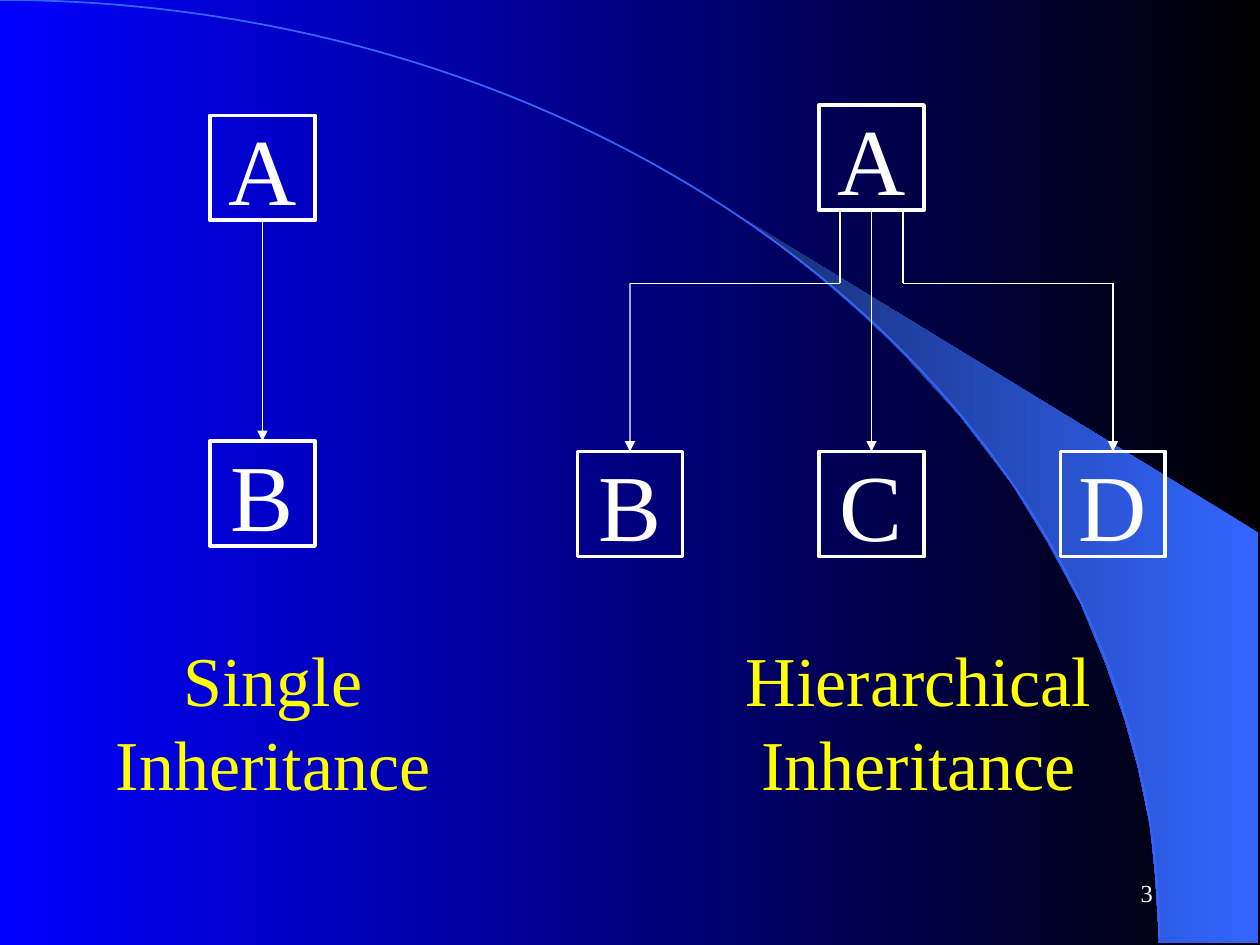
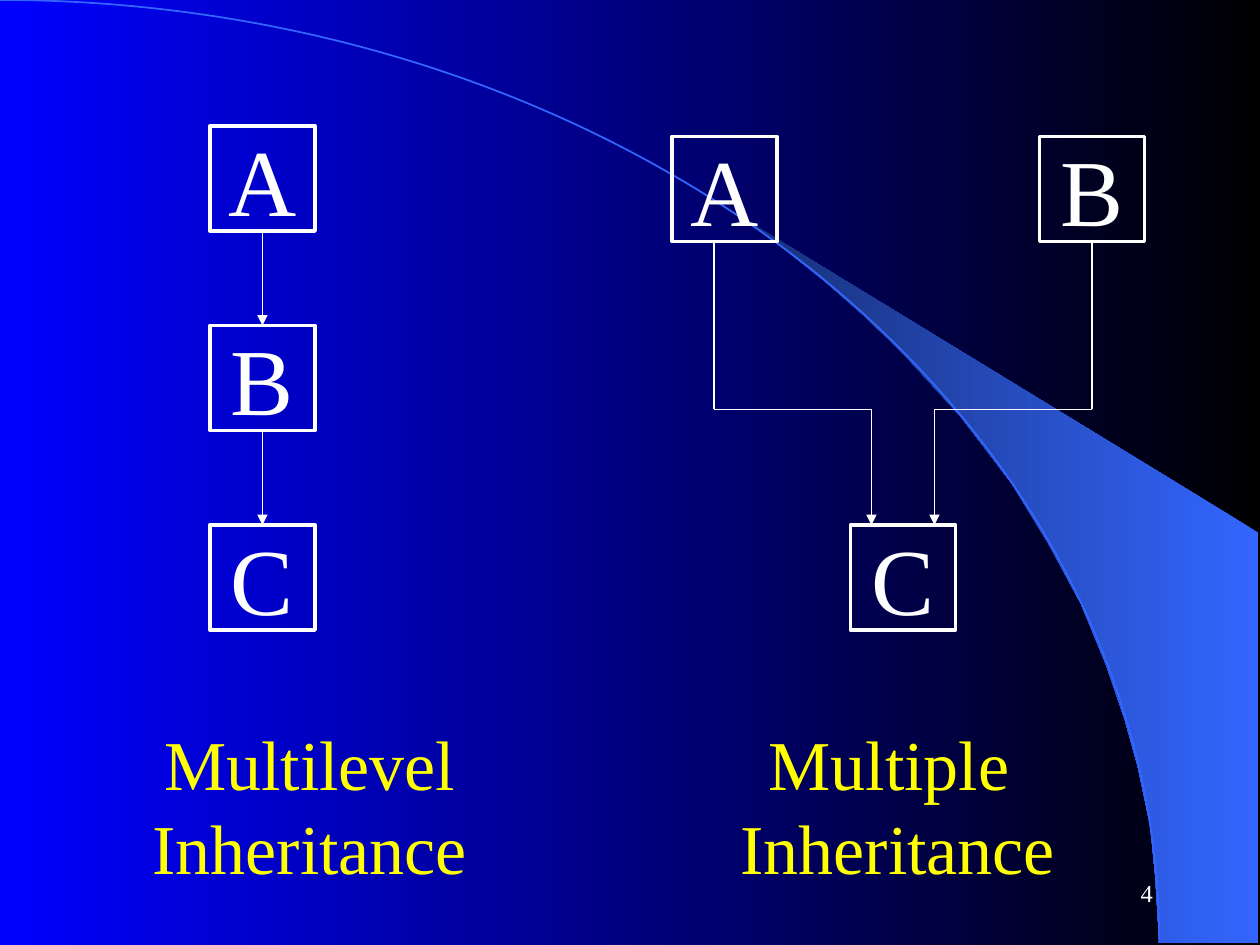
from dataclasses import dataclass
from itertools import pairwise

from lxml import etree
from pptx import Presentation
from pptx.dml.color import RGBColor
from pptx.enum.shapes import MSO_CONNECTOR, MSO_SHAPE
from pptx.enum.text import MSO_ANCHOR, MSO_AUTO_SIZE, PP_ALIGN
from pptx.oxml.ns import qn
from pptx.util import Cm, Length, Pt

RECTANGLE, ARC = MSO_SHAPE.RECTANGLE, MSO_SHAPE.ARC
STRAIGHT = MSO_CONNECTOR.STRAIGHT
CENTER, RIGHT = PP_ALIGN.CENTER, PP_ALIGN.RIGHT
TOP, MIDDLE = MSO_ANCHOR.TOP, MSO_ANCHOR.MIDDLE
FIXED, GROW = MSO_AUTO_SIZE.NONE, MSO_AUTO_SIZE.SHAPE_TO_FIT_TEXT
TOP_SITE, BOTTOM_SITE = 0, 2

COLORS = {
    "black": "000000",
    "blue": "0000FF",
    "sky": "3366FF",
    "navy": "172F75",
    "white": "FFFFFF",
    "yellow": "FFFF00",
}
FONT = "Times New Roman"

# The slide is a grid of 120 x 90 steps; a class box covers 10 x 10 of them
COLUMNS, ROWS = 120, 90
STEP = 25.4 / COLUMNS
BOX_SIZE = 10

# Outline of the wedge, in centimetres
WEDGE = [
    (23.37, 19), (25.37, 19.02), (25.37, 10.74), (14.96, 4.39), (15.85, 5.05),
    (16.59, 5.64), (17.4, 6.35), (18.19, 7.11), (19.35, 8.38), (20.4, 9.75),
    (21.13, 10.95), (21.79, 12.17), (22.3, 13.41), (22.68, 14.53),
    (22.94, 15.47), (23.19, 16.66), (23.29, 17.68),
]
ARC_RADIUS_X, ARC_RADIUS_Y = 23.37, 19.01

Point = tuple[int, int]


@dataclass(frozen=True)
class TextStyle:
    size: int
    color: str
    align: PP_ALIGN
    anchor: MSO_ANCHOR
    wrap: bool = True
    auto_size: MSO_AUTO_SIZE = FIXED


@dataclass(frozen=True)
class ClassBox:
    name: str
    column: int
    row: int


@dataclass(frozen=True)
class Route:
    """A chain of straight lines that ends in an arrowhead."""
    points: tuple[Point, ...]


@dataclass(frozen=True)
class Caption:
    text: str
    column: int
    row: int
    width: int = 39


@dataclass(frozen=True)
class DiagramSlide:
    number: int
    boxes: list[ClassBox]
    routes: list[Route]
    captions: list[Caption]


BOX_STYLE = TextStyle(54, "white", CENTER, MIDDLE, wrap=False)
CAPTION_STYLE = TextStyle(40, "yellow", CENTER, TOP, auto_size=GROW)
NUMBER_STYLE = TextStyle(14, "white", RIGHT, MIDDLE)

SLIDES = [
    DiagramSlide(
        number=3,
        boxes=[
            ClassBox("A", 20, 11), ClassBox("B", 20, 42),
            ClassBox("A", 78, 10), ClassBox("B", 55, 43),
            ClassBox("C", 78, 43), ClassBox("D", 101, 43),
        ],
        routes=[
            Route(((25, 21), (25, 42))),
            Route(((80, 20), (80, 27), (60, 27), (60, 43))),
            Route(((83, 20), (83, 43))),
            Route(((86, 20), (86, 27), (106, 27), (106, 43))),
        ],
        captions=[
            Caption("Single Inheritance", 6, 60, 40),
            Caption("Hierarchical Inheritance", 68, 60),
        ],
    ),
    DiagramSlide(
        number=4,
        boxes=[
            ClassBox("A", 20, 12), ClassBox("B", 20, 31), ClassBox("C", 20, 50),
            ClassBox("A", 64, 13), ClassBox("B", 99, 13), ClassBox("C", 81, 50),
        ],
        routes=[
            Route(((25, 22), (25, 31))),
            Route(((25, 41), (25, 50))),
            Route(((68, 23), (68, 39), (83, 39), (83, 50))),
            Route(((104, 23), (104, 39), (89, 39), (89, 50))),
        ],
        captions=[
            Caption("Multilevel Inheritance", 10, 68),
            Caption("Multiple  Inheritance", 66, 68),
        ],
    ),
]


def rgb(name: str) -> RGBColor:
    return RGBColor.from_string(COLORS[name])


def grid(*steps: int) -> list[Length]:
    return [Cm(step * STEP) for step in steps]


def fill_gradient(fill, right: str, left: str) -> None:
    fill.gradient()
    fill.gradient_angle = 180
    for stop, color, position in zip(fill.gradient_stops, (right, left), (0, 1)):
        stop.color.rgb = rgb(color)
        stop.position = position


def set_line(line, color: str, width: float) -> None:
    line.color.rgb = rgb(color)
    line.width = Pt(width)


def write_text(shape, text: str, style: TextStyle) -> None:
    frame = shape.text_frame
    frame_format = {
        "word_wrap": style.wrap,
        "auto_size": style.auto_size,
        "vertical_anchor": style.anchor,
    }
    for attribute, value in frame_format.items():
        setattr(frame, attribute, value)
    paragraph = frame.paragraphs[0]
    paragraph.alignment = style.align
    run = paragraph.add_run()
    run.text = text
    for attribute, value in {"name": FONT, "size": Pt(style.size)}.items():
        setattr(run.font, attribute, value)
    run.font.color.rgb = rgb(style.color)


def add_text(slide, text: str, area: tuple[int, ...], style: TextStyle) -> None:
    write_text(slide.shapes.add_textbox(*grid(*area)), text, style)


def add_backdrop(slide) -> None:
    # Shaded wedge
    start, *others = [(Cm(x), Cm(y)) for x, y in WEDGE]
    builder = slide.shapes.build_freeform(*start)
    builder.add_line_segments(others, close=True)
    wedge = builder.convert_to_shape()
    wedge.shadow.inherit = False
    fill_gradient(wedge.fill, right="sky", left="navy")
    wedge.line.fill.background()

    # Sweeping curve: the upper right quarter of an ellipse
    curve = slide.shapes.add_shape(
        ARC, Cm(-ARC_RADIUS_X), 0, Cm(2 * ARC_RADIUS_X), Cm(2 * ARC_RADIUS_Y))
    curve.shadow.inherit = False
    curve.fill.background()
    set_line(curve.line, "sky", 1)


def add_box(slide, box: ClassBox):
    shape = slide.shapes.add_shape(
        RECTANGLE, *grid(box.column, box.row, BOX_SIZE, BOX_SIZE))
    shape.shadow.inherit = False
    shape.fill.background()
    set_line(shape.line, "white", 2.25)
    write_text(shape, box.name, BOX_STYLE)
    return shape


def add_route(slide, route: Route, sites: dict) -> None:
    for start, end in pairwise(route.points):
        connector = slide.shapes.add_connector(STRAIGHT, *grid(*start, *end))
        set_line(connector.line, "white", 0.75)
        properties = connector.element.spPr
        etree.SubElement(properties, qn("a:effectLst"))
        if end == route.points[-1]:
            line = properties.find(qn("a:ln"))
            etree.SubElement(line, qn("a:tailEnd"), type="triangle")
        # Join the ends that meet the middle of a box side
        if start in sites:
            connector.begin_connect(*sites[start])
        if end in sites:
            connector.end_connect(*sites[end])


def add_diagram_slide(presentation, content: DiagramSlide) -> None:
    slide = presentation.slides.add_slide(presentation.slide_layouts[6])
    for placeholder in list(slide.placeholders):
        placeholder.element.getparent().remove(placeholder.element)
    add_backdrop(slide)

    # Class boxes, with the grid points where connectors can join them
    sites = {}
    for box in content.boxes:
        shape = add_box(slide, box)
        middle = box.column + BOX_SIZE // 2
        sites[middle, box.row] = (shape, TOP_SITE)
        sites[middle, box.row + BOX_SIZE] = (shape, BOTTOM_SITE)

    for route in content.routes:
        add_route(slide, route, sites)

    # Captions and slide number
    for caption in content.captions:
        area = (caption.column, caption.row, caption.width, 17)
        add_text(slide, caption.text, area, CAPTION_STYLE)
    add_text(slide, str(content.number), (86, 82, 25, 6), NUMBER_STYLE)


def main() -> None:
    presentation = Presentation()
    presentation.slide_width, presentation.slide_height = grid(COLUMNS, ROWS)
    fill_gradient(presentation.slide_master.background.fill,
                  right="black", left="blue")
    for content in SLIDES:
        add_diagram_slide(presentation, content)
    presentation.save("out.pptx")


if __name__ == "__main__":
    main()
